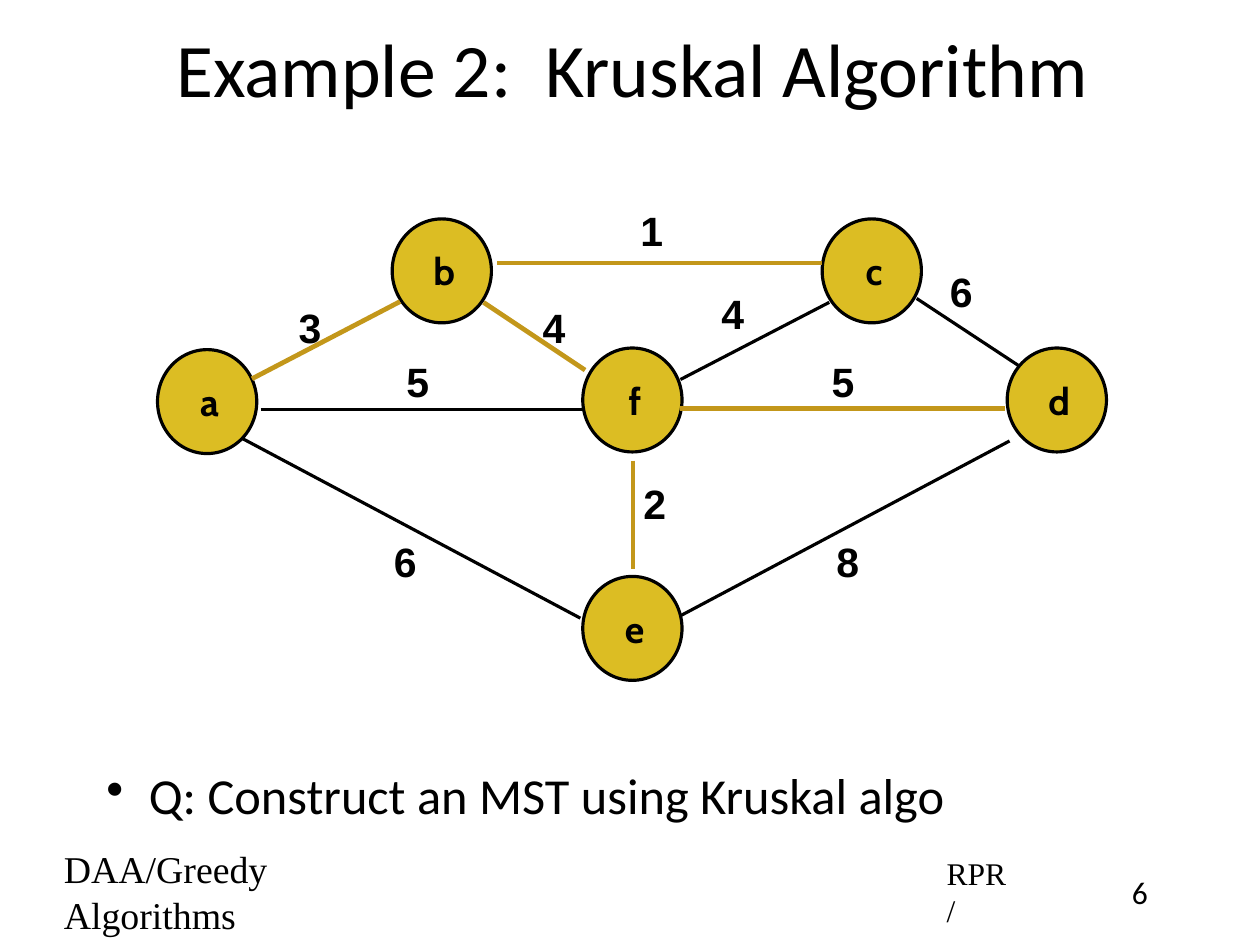
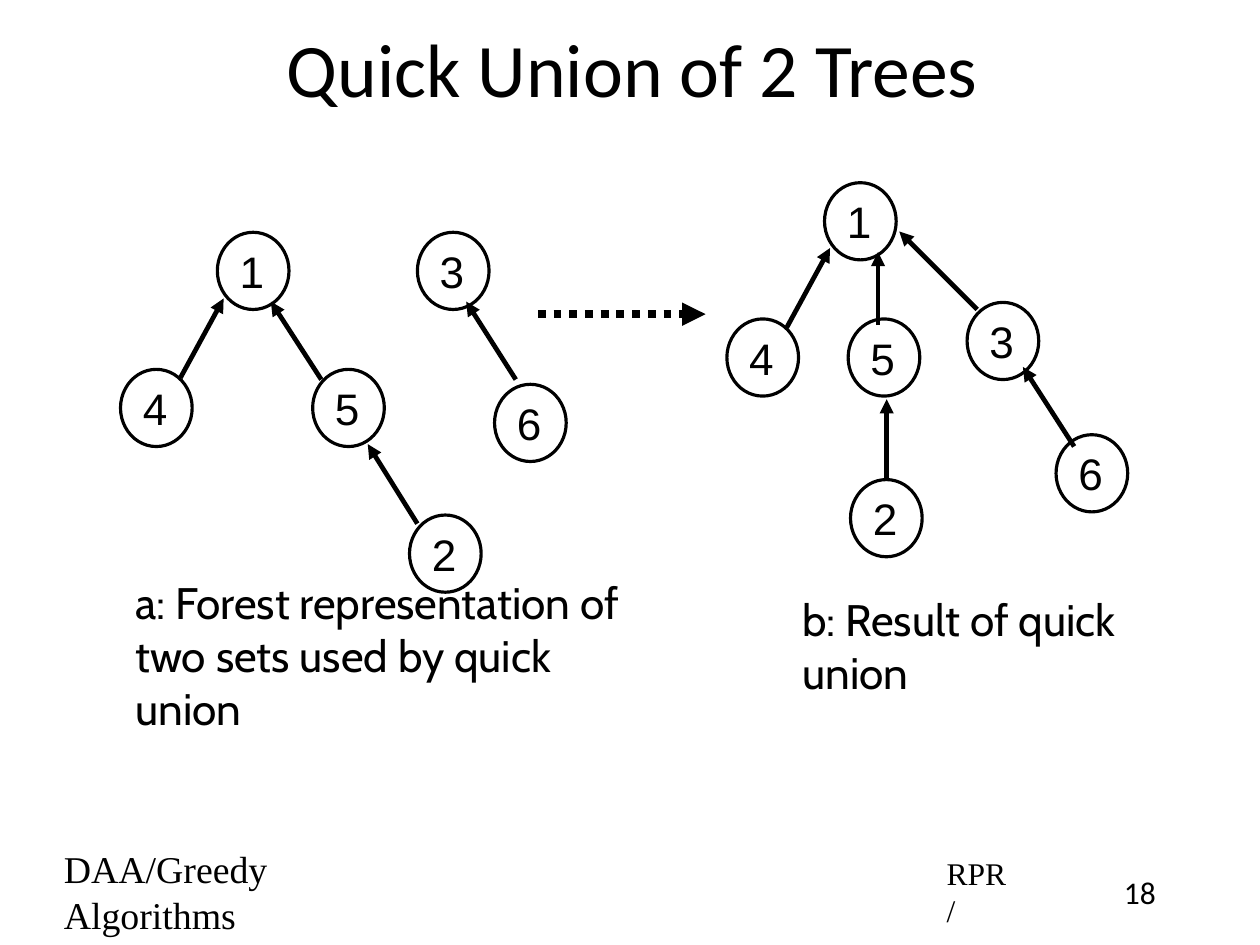
"""Build two slides on greedy algorithms: a weighted graph and a quick union of trees."""
from dataclasses import dataclass

import lxml.etree
import pptx
import pptx.dml.color
import pptx.enum.dml
import pptx.enum.shapes
import pptx.enum.text
import pptx.oxml.ns
import pptx.shapes.base
import pptx.slide
import pptx.text.text
import pptx.util

Pt = pptx.util.Pt
BLACK = pptx.dml.color.RGBColor(0x00, 0x00, 0x00)
WHITE = pptx.dml.color.RGBColor(0xFF, 0xFF, 0xFF)
YELLOW = pptx.dml.color.RGBColor(0xDC, 0xBD, 0x23)
GOLD = pptx.dml.color.RGBColor(0xC3, 0x97, 0x1A)
LEFT = pptx.enum.text.PP_ALIGN.LEFT
CENTER = pptx.enum.text.PP_ALIGN.CENTER
TOP = pptx.enum.text.MSO_ANCHOR.TOP
MIDDLE = pptx.enum.text.MSO_ANCHOR.MIDDLE
INSET = 4.5
TEXT_MARGIN = 3
LABEL_WIDTH, LABEL_HEIGHT = 37, 58


@dataclass(frozen=True)
class TextStyle:
    font: str
    size: float
    bold: bool = False
    align: pptx.enum.text.PP_ALIGN = LEFT
    anchor: pptx.enum.text.MSO_ANCHOR = MIDDLE
    margin: float = TEXT_MARGIN


@dataclass(frozen=True)
class NodeStyle:
    width: float
    height: float
    text: TextStyle
    fill: pptx.dml.color.RGBColor | None = None


@dataclass(frozen=True)
class Node:
    text: str
    left: float
    top: float


@dataclass(frozen=True)
class Label:
    text: str
    left: float
    middle: float


@dataclass(frozen=True)
class Edge:
    start_x: float
    start_y: float
    end_x: float
    end_y: float


TITLE = TextStyle("Calibri", 48, align=CENTER)
PAGE_NUMBER = TextStyle("Calibri", 20, align=CENTER, anchor=TOP, margin=0)
COURSE = TextStyle("Times New Roman", 24)
AUTHOR = TextStyle("Times New Roman", 20)
QUESTION = TextStyle("Calibri", 32, margin=30)
WEIGHT = TextStyle("Arial", 26, bold=True)
CAPTION = TextStyle("Cabin", 28)
GRAPH_NODE = NodeStyle(63, 66, TextStyle("Cabin", 24, bold=True, align=CENTER), YELLOW)
TREE_NODE = NodeStyle(45.5, 49, TextStyle("Arial", 28))

GRAPH_NODES = (
    Node("a", 100, 222),
    Node("b", 249, 139),
    Node("c", 522, 139),
    Node("d", 639.5, 221),
    Node("e", 370, 366),
    Node("f", 370, 221),
)
WEIGHTS = (
    Label("2", 401, 319.5),
    Label("6", 242.5, 356),
    Label("3", 182, 208),
    Label("5", 250.5, 242),
    Label("1", 399, 146),
    Label("4", 337, 207.5),
    Label("4", 450.5, 199),
    Label("5", 520.5, 242),
    Label("6", 595.5, 185),
    Label("8", 523.5, 356),
)
PLAIN_EDGES = (
    Edge(432, 241, 526.5, 192),
    Edge(432, 391, 641, 280),
    Edge(154, 278.5, 368.5, 392.5),
    Edge(582, 189.5, 646.5, 232),
    Edge(165.5, 260, 372, 260),
)
TREE_EDGES = (
    Edge(315.5, 167, 522, 167),
    Edge(402, 292.5, 402, 361.5),
    Edge(160, 240.5, 254, 191.5),
    Edge(307, 192, 371.5, 235),
    Edge(431.5, 259.5, 638, 259.5),
)
FOREST_NODES = (
    Node("1", 138, 147.5),
    Node("4", 76.5, 234.5),
    Node("5", 198.5, 234.5),
    Node("2", 260, 327),
    Node("6", 314, 244),
    Node("3", 265, 147.5),
)
UNION_NODES = (
    Node("1", 523.5, 116),
    Node("4", 461.5, 202.5),
    Node("5", 538.5, 202.5),
    Node("2", 540, 304.5),
    Node("6", 670.5, 276),
    Node("3", 614, 192),
)
PARENT_ARROWS = (
    Edge(114.5, 240, 142, 189.5),
    Edge(204, 241, 172, 191.5),
    Edge(265, 332.5, 233.5, 282),
    Edge(327.5, 241, 296, 191.5),
    Edge(499.5, 208, 527, 157.5),
    Edge(557.5, 206.5, 557.5, 160),
    Edge(563, 304.5, 563, 253.5),
    Edge(682, 283.5, 649.5, 233),
    Edge(620.5, 196.5, 571, 147),
)
UNION_ARROW = Edge(341.5, 199.5, 448, 199.5)


def write_text(shape: pptx.shapes.base.BaseShape, text: str, style: TextStyle) -> None:
    """Fill a shape with text in the given style."""
    frame = shape.text_frame
    frame.text = text
    frame.word_wrap = True
    frame.vertical_anchor = style.anchor
    frame.margin_left = frame.margin_right = Pt(INSET)
    frame.margin_top = frame.margin_bottom = Pt(INSET)
    for para in frame.paragraphs:
        para.alignment = style.align
        para._p.get_or_add_pPr().set("marL", str(Pt(style.margin)))
        for span in para.runs:
            span.font.name = style.font
            span.font.size = Pt(style.size)
            span.font.bold = style.bold
            span.font.color.rgb = BLACK


def add_text(page: pptx.slide.Slide, text: str, style: TextStyle, left: float, top: float,
             width: float, height: float) -> pptx.shapes.base.BaseShape:
    """Add a wrapped text box."""
    box = page.shapes.add_textbox(Pt(left), Pt(top), Pt(width), Pt(height))
    write_text(box, text, style)
    return box


def add_bullet(para: pptx.text.text._Paragraph, hanging: float) -> None:
    """Give a paragraph a round bullet with a hanging indent."""
    properties = para._p.get_or_add_pPr()
    properties.set("indent", str(-Pt(hanging)))
    bullet = lxml.etree.SubElement(properties, pptx.oxml.ns.qn("a:buChar"))
    bullet.set("char", "•")


def add_node(page: pptx.slide.Slide, node: Node, style: NodeStyle) -> None:
    """Draw one round node with its name."""
    oval = page.shapes.add_shape(
        pptx.enum.shapes.MSO_SHAPE.OVAL,
        Pt(node.left), Pt(node.top), Pt(style.width), Pt(style.height))
    oval.shadow.inherit = False
    if style.fill is None:
        oval.fill.background()
    else:
        oval.fill.solid()
        oval.fill.fore_color.rgb = style.fill
    oval.line.color.rgb = BLACK
    oval.line.width = Pt(2)
    write_text(oval, node.text, style.text)


def add_edge(page: pptx.slide.Slide, edge: Edge, color: pptx.dml.color.RGBColor,
             width: float, arrow: bool = False, dotted: bool = False) -> None:
    """Draw a straight edge, optionally dotted or ending in an arrowhead."""
    line = page.shapes.add_connector(
        pptx.enum.shapes.MSO_CONNECTOR.STRAIGHT,
        Pt(edge.start_x), Pt(edge.start_y), Pt(edge.end_x), Pt(edge.end_y))
    line.line.color.rgb = color
    line.line.width = Pt(width)
    if dotted:
        line.line.dash_style = pptx.enum.dml.MSO_LINE.ROUND_DOT
    properties = line._element.spPr
    if arrow:
        outline = properties.find(pptx.oxml.ns.qn("a:ln"))
        head = lxml.etree.SubElement(outline, pptx.oxml.ns.qn("a:tailEnd"))
        head.set("type", "triangle")
    lxml.etree.SubElement(properties, pptx.oxml.ns.qn("a:effectLst"))


def add_page(deck: pptx.presentation.Presentation, title: str, number: int) -> pptx.slide.Slide:
    """Add a blank slide with the shared title and footers."""
    page = deck.slides.add_slide(deck.slide_layouts[6])
    page.background.fill.solid()
    page.background.fill.fore_color.rgb = WHITE
    add_text(page, title, TITLE, 60, 5, 680, 75)
    add_text(page, str(number), PAGE_NUMBER, 700, 550, 47.5, 30)
    add_text(page, "DAA/Greedy Algorithms", COURSE, 33, 534, 240, 64)
    add_text(page, "RPR/", AUTHOR, 593.5, 534, 52, 64)
    return page


def build_graph_page(deck: pptx.presentation.Presentation) -> None:
    """Draw the weighted graph with its spanning tree."""
    page = add_page(deck, "Example 2:  Kruskal Algorithm", 6)
    for edge in PLAIN_EDGES:
        add_edge(page, edge, BLACK, 2)
    for label in WEIGHTS:
        add_text(page, label.text, WEIGHT, label.left, label.middle - LABEL_HEIGHT / 2,
                 LABEL_WIDTH, LABEL_HEIGHT)
    question = add_text(page, "Q: Construct an MST using Kruskal algo", QUESTION,
                        60, 485, 559, 44)
    para = question.text_frame.paragraphs[0]
    para.line_spacing = 0.9
    para.space_before = Pt(7)
    add_bullet(para, 27)
    for node in GRAPH_NODES:
        add_node(page, node, GRAPH_NODE)
    for edge in TREE_EDGES:
        add_edge(page, edge, GOLD, 3)


def build_union_page(deck: pptx.presentation.Presentation) -> None:
    """Draw the forest, the united tree and their captions."""
    page = add_page(deck, "Quick Union of 2 Trees", 18)
    for node in FOREST_NODES + UNION_NODES:
        add_node(page, node, TREE_NODE)
    for edge in PARENT_ARROWS:
        add_edge(page, edge, BLACK, 3, arrow=True)
    add_edge(page, UNION_ARROW, BLACK, 5, arrow=True, dotted=True)
    add_text(page, "a: Forest representation of\ntwo sets used by quick union", CAPTION,
             78.5, 361, 341, 110)
    add_text(page, "b: Result of quick union", CAPTION, 502, 370, 277, 80)


def main() -> None:
    """Build and save the deck."""
    deck = pptx.Presentation()
    deck.slide_width = Pt(800)
    deck.slide_height = Pt(600)
    build_graph_page(deck)
    build_union_page(deck)
    deck.save("out.pptx")


if __name__ == "__main__":
    main()
